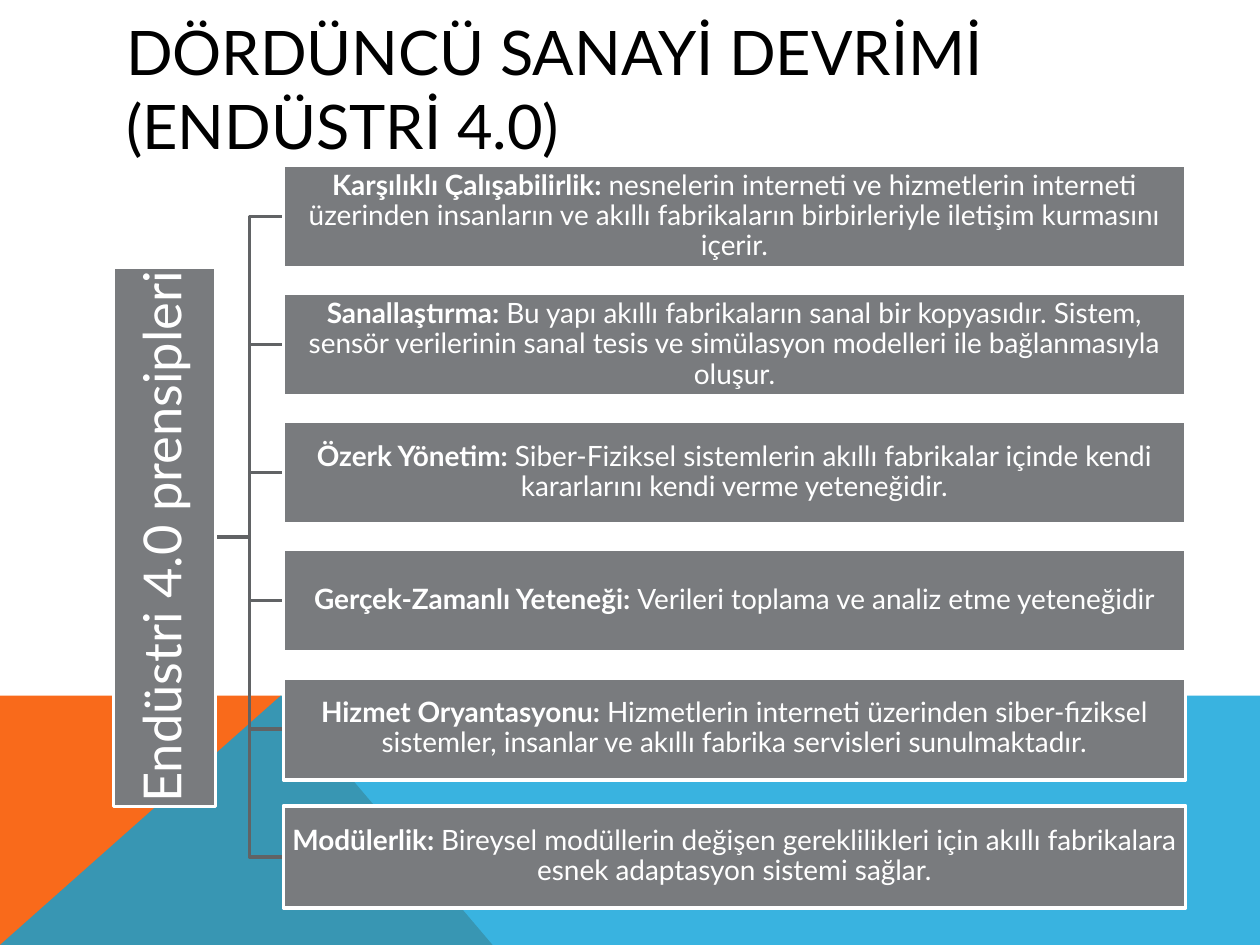
"""Build a slide listing the six principles of Industry 4.0 as a bracket tree."""
from lxml.etree import SubElement
from pptx import Presentation
from pptx.dml.color import RGBColor
from pptx.enum.shapes import MSO_SHAPE as Shape
from pptx.enum.text import MSO_ANCHOR as Anchor, MSO_AUTO_SIZE as AutoSize, PP_ALIGN as Align
from pptx.oxml.ns import qn
from pptx.util import Inches, Pt

WHITE = RGBColor(0xFF, 0xFF, 0xFF)
BLACK = RGBColor(0x00, 0x00, 0x00)
GRAY = RGBColor(0x79, 0x7B, 0x7E)
DARK_GRAY = RGBColor(0x61, 0x63, 0x65)
ORANGE = RGBColor(0xF9, 0x6A, 0x1B)
BLUE = RGBColor(0x08, 0xA1, 0xD9)
FONT = "Lato"

PRINCIPLES = [
    ("Karşılıklı Çalışabilirlik:", "nesnelerin interneti ve hizmetlerin interneti üzerinden insanların "
     "ve akıllı fabrikaların birbirleriyle iletişim kurmasını içerir."),
    ("Sanallaştırma:", "Bu yapı akıllı fabrikaların sanal bir kopyasıdır. Sistem, sensör verilerinin "
     "sanal tesis ve simülasyon modelleri ile bağlanmasıyla oluşur."),
    ("Özerk Yönetim:", "Siber-Fiziksel sistemlerin akıllı fabrikalar içinde kendi kararlarını kendi "
     "verme yeteneğidir."),
    ("Gerçek-Zamanlı Yeteneği:", "Verileri toplama ve analiz etme yeteneğidir"),
    ("Hizmet Oryantasyonu:", "Hizmetlerin interneti üzerinden siber-fiziksel sistemler, insanlar ve "
     "akıllı fabrika servisleri sunulmaktadır."),
    ("Modülerlik:", "Bireysel modüllerin değişen gereklilikleri için akıllı fabrikalara esnek "
     "adaptasyon sistemi sağlar."),
]


def add_outline(points, closed):
    corners = [(Inches(x), Inches(y)) for x, y in points]
    builder = slide.shapes.build_freeform(*corners[0], scale=1.0)
    builder.add_line_segments(corners[1:], close=closed)
    shape = builder.convert_to_shape()
    shape.shadow.inherit = False
    return shape


def add_box(center_x, center_y, width, height, runs, size, inset):
    box = slide.shapes.add_shape(
        Shape.RECTANGLE, Inches(center_x - width / 2), Inches(center_y - height / 2),
        Inches(width), Inches(height))
    box.shadow.inherit = False
    box.fill.solid()
    box.fill.fore_color.rgb = GRAY
    box.line.color.rgb = WHITE
    box.line.width = Pt(2)
    frame = box.text_frame
    frame.word_wrap = True
    frame.vertical_anchor = Anchor.MIDDLE
    frame.margin_left = frame.margin_right = Inches(inset)
    frame.margin_top = frame.margin_bottom = Inches(inset)
    paragraph = frame.paragraphs[0]
    paragraph.alignment = Align.CENTER
    paragraph.line_spacing = 0.9
    paragraph.font.name = FONT
    paragraph.font.size = Pt(size)
    paragraph.font.color.rgb = WHITE
    for text, bold in runs:
        run = paragraph.add_run()
        run.text = text
        run.font.bold = bold
    return box


presentation = Presentation()
presentation.slide_width = Inches(10)
presentation.slide_height = Inches(7.5)
slide = presentation.slides.add_slide(presentation.slide_layouts[5])

HORIZON, PEAK, BOTTOM, RIGHT = 5.52, 2.23, 7.5, 10
wedges = [
    ([(0, BOTTOM), (0, HORIZON), (PEAK, HORIZON), (3.91, BOTTOM)], ORANGE),
    ([(0, BOTTOM), (PEAK, HORIZON), (RIGHT, HORIZON), (RIGHT, BOTTOM)], BLUE),
]
for points, color in wedges:
    wedge = add_outline(points, True)
    wedge.fill.solid()
    wedge.fill.fore_color.rgb = color
    wedge.line.fill.background()
wedge_color = wedge.fill._xPr.find(qn("a:solidFill"))[0]
SubElement(wedge_color, qn("a:alpha"), val="80000")

title = slide.shapes.title
title.left, title.top = Inches(0.9), Inches(0.4)
title.width, title.height = Inches(8.22), Inches(0.6)
title.text = "DÖRDÜNCÜ SANAYİ DEVRİMİ (ENDÜSTRİ 4.0)"
title.text_frame.word_wrap = True
title.text_frame.auto_size = AutoSize.NONE
title.text_frame.vertical_anchor = Anchor.MIDDLE
heading = title.text_frame.paragraphs[0]
heading.alignment = Align.LEFT
heading.font.name = FONT
heading.font.size = Pt(35.1)
heading.font.color.rgb = BLACK

FIRST_ROW, ROW_PITCH, BOX_HEIGHT, BOX_WIDTH = 1.72, 1.016, 0.81, 7.16
ROOT_EDGE, BOX_EDGE = 1.71, 2.25
TRUNK = (ROOT_EDGE + BOX_EDGE) / 2
rows = [FIRST_ROW + ROW_PITCH * index for index in range(len(PRINCIPLES))]
middle = (rows[0] + rows[-1]) / 2

for row in rows:
    branch = add_outline([(ROOT_EDGE, middle), (TRUNK, middle), (TRUNK, row), (BOX_EDGE, row)], False)
    branch.fill.background()
    branch.line.color.rgb = DARK_GRAY
    branch.line.width = Pt(2)

root = add_box(ROOT_EDGE - BOX_HEIGHT / 2, middle, 4.28, BOX_HEIGHT,
               [("Endüstri 4.0 prensipleri", False)], 30, 0.02)
root.rotation = 270

for row, (name, description) in zip(rows, PRINCIPLES):
    add_box(BOX_EDGE + BOX_WIDTH / 2, row, BOX_WIDTH, BOX_HEIGHT,
            [(name + " ", True), (description, False)], 16, 0.01)

presentation.save("out.pptx")
